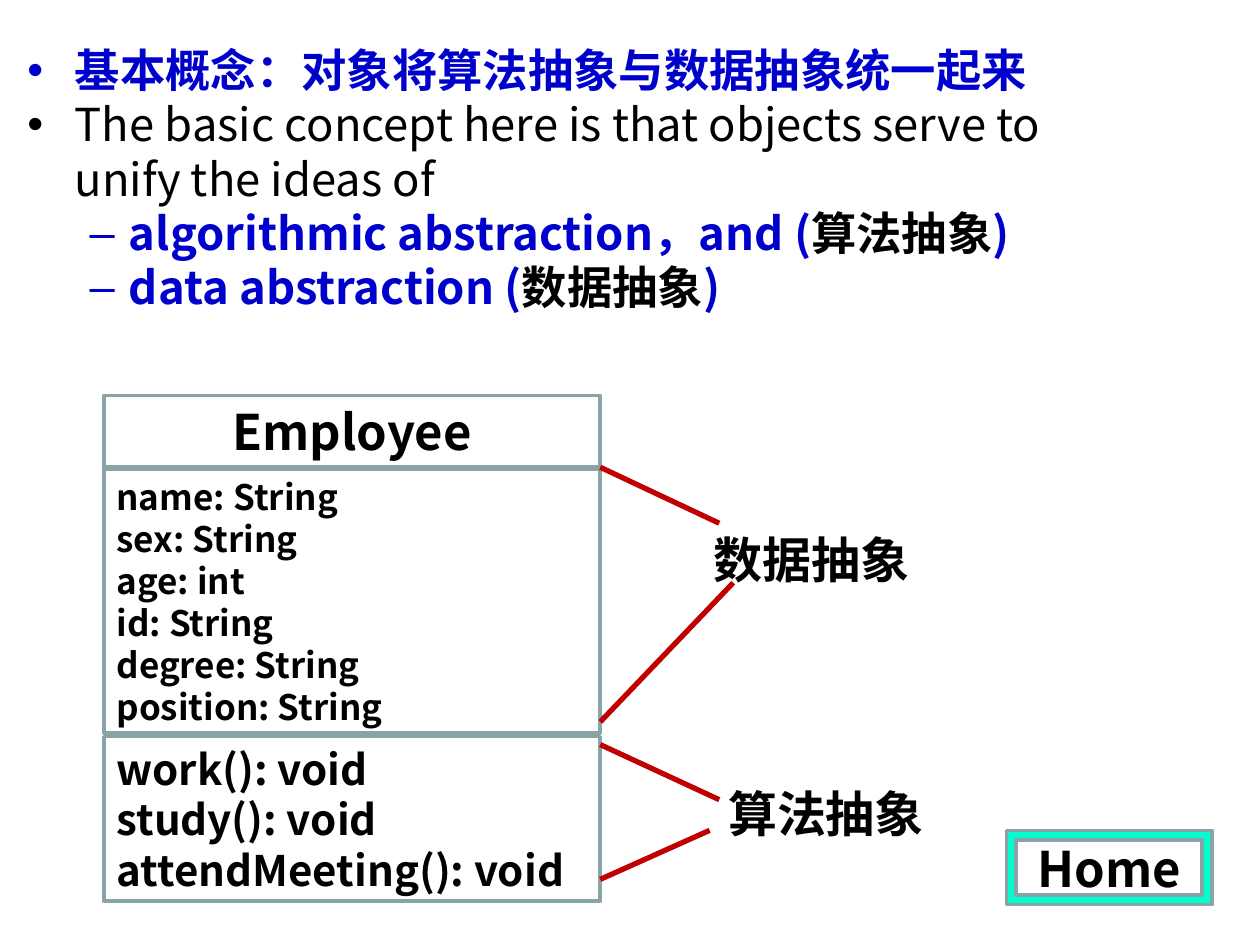
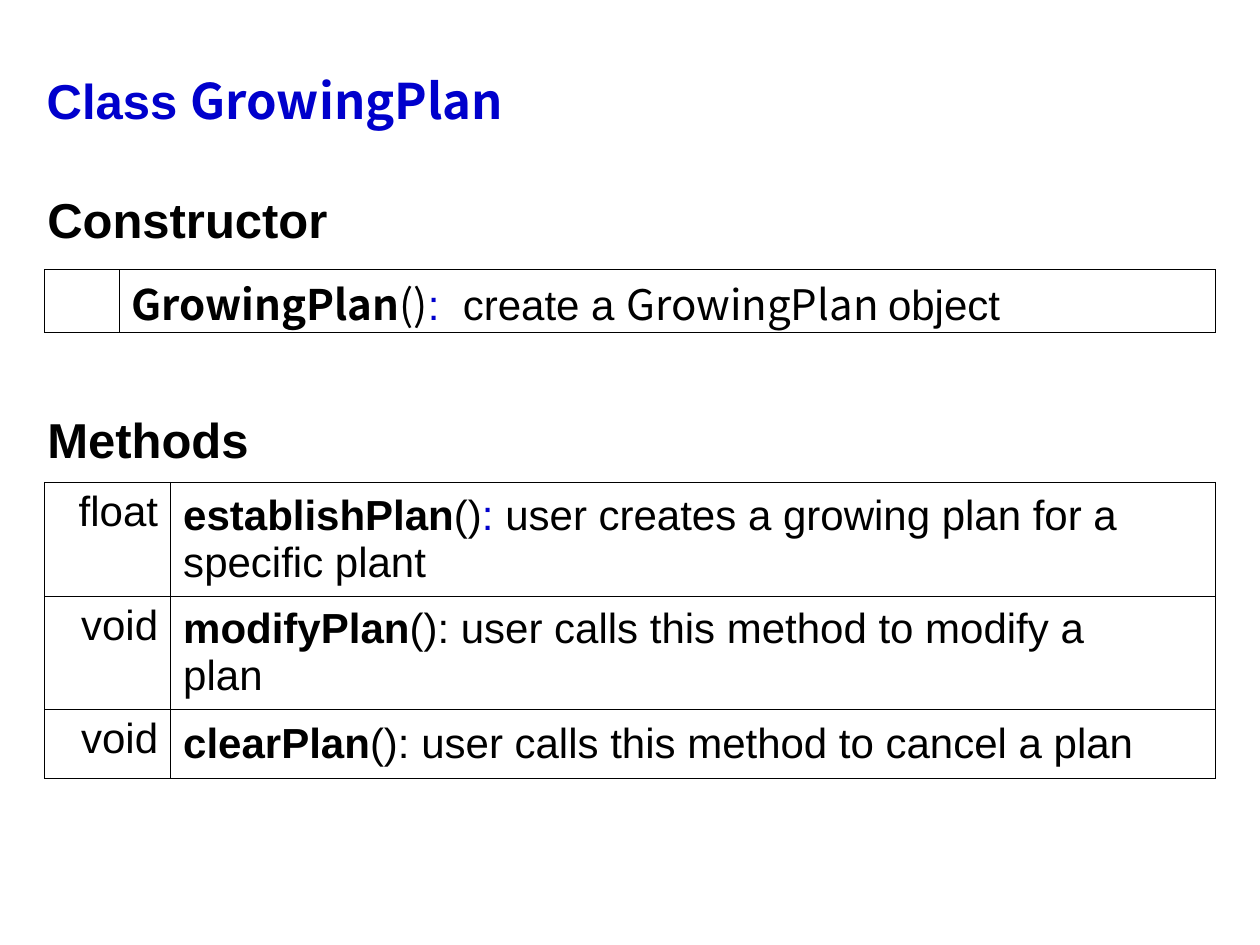
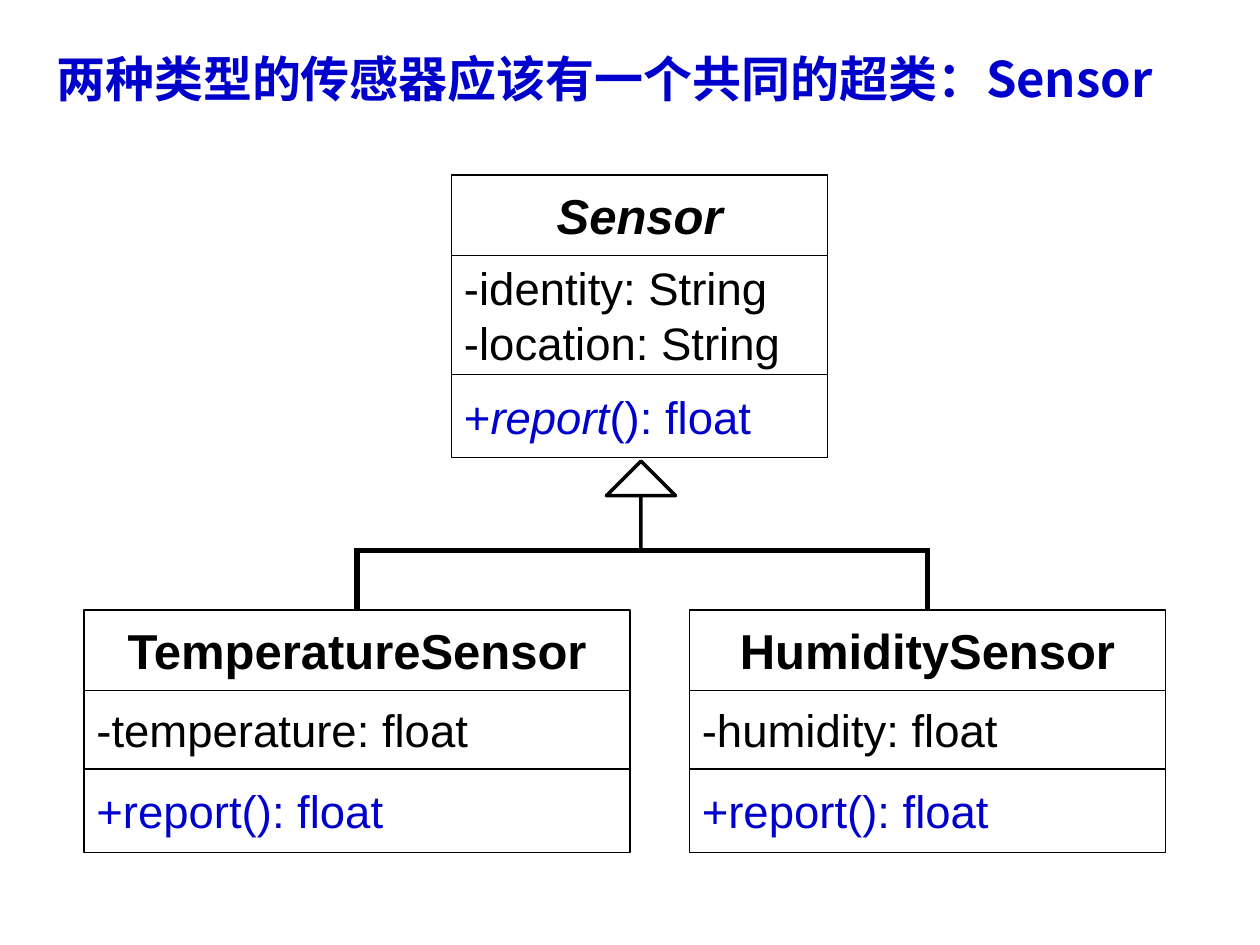
from lxml import etree
from pptx import Presentation
from pptx.dml.color import RGBColor
from pptx.enum import shapes, text
from pptx.oxml import ns
from pptx.util import Pt

COLORS = {"blue": "0000CC", "black": "000000", "white": "FFFFFF",
          "steel": "89A4A7", "red": "C00000", "mint": "00FFCC"}
ARIAL, NOTO = "Arial", "Noto Sans CJK SC"
LEADING = 1.2  # line pitch of class boxes and lists, in font sizes
BULLETS = [("•", 27, -27), ("–", 58, -22.5)]  # sign, margin, indent
LEFT, CENTER, RIGHT = text.PP_ALIGN.LEFT, text.PP_ALIGN.CENTER, text.PP_ALIGN.RIGHT
TOP, MIDDLE = text.MSO_ANCHOR.TOP, text.MSO_ANCHOR.MIDDLE


def color(name):
    return RGBColor.from_string(COLORS[name])


def add_xml(parent, tag, **attributes):
    return etree.SubElement(parent, ns.qn(tag), attributes)


# ---- Text ----
def format_run(run, size, font, ink, bold=False, italic=False):
    run.font.size = Pt(size)
    run.font.bold, run.font.italic = bold, italic
    run.font.color.rgb = color(ink)
    run.font.name = font
    add_xml(run.font._element, "a:ea", typeface=font)


def write(frame, paragraphs, size=28, font=NOTO, ink="black", bold=False,
          italic=False, align=LEFT, anchor=TOP, wrap=True, leading=None):
    """Each paragraph is a string or a list of (text, format changes) runs."""
    frame.word_wrap = wrap
    frame.vertical_anchor = anchor
    base = {"size": size, "font": font, "ink": ink, "bold": bold, "italic": italic}
    for number, runs in enumerate(paragraphs):
        paragraph = frame.add_paragraph() if number else frame.paragraphs[0]
        paragraph.alignment = align
        paragraph.space_before = Pt(0)
        if leading:
            paragraph.line_spacing = leading
        if isinstance(runs, str):
            runs = [(runs, {})]
        for words, changes in runs:
            run = paragraph.add_run()
            run.text = words
            format_run(run, **{**base, **changes})


def place(shape, left, top, width, height):
    shape.left, shape.top = Pt(left), Pt(top)
    shape.width, shape.height = Pt(width), Pt(height)


def add_title(slide, area, runs, **changes):
    title = slide.shapes.title
    place(title, *area)
    title.text_frame.auto_size = text.MSO_AUTO_SIZE.NONE
    write(title.text_frame, [runs], ink="blue", bold=True, **changes)


def add_label(slide, area, words, font=NOTO):
    label = slide.shapes.add_textbox(*map(Pt, area))
    write(label.text_frame, [words], font=font, bold=True)


def add_bullet_list(body, area, items, size):
    """Items are (level, bullet colour, runs)."""
    place(body, *area)
    frame = body.text_frame
    frame.auto_size = text.MSO_AUTO_SIZE.NONE
    write(frame, [runs for _, _, runs in items], size=size, ink="blue", bold=True,
          leading=Pt(size * LEADING))
    for paragraph, (level, ink, _) in zip(frame.paragraphs, items):
        sign, margin, indent = BULLETS[level]
        paragraph.level = level
        properties = paragraph._p.get_or_add_pPr()
        properties.set("marL", str(Pt(margin)))
        properties.set("indent", str(Pt(indent)))
        add_xml(add_xml(properties, "a:buClr"), "a:srgbClr", val=COLORS[ink])
        add_xml(properties, "a:buChar", char=sign)


# ---- Shapes and lines ----
def add_outlined(slide, kind, area, fill="white", line="black", weight=0.75):
    shape = slide.shapes.add_shape(kind, *map(Pt, area))
    shape.shadow.inherit = False
    shape.fill.solid()
    shape.fill.fore_color.rgb = color(fill)
    shape.line.color.rgb = color(line)
    shape.line.width = Pt(weight)
    return shape


def add_class(slide, left, width, sections, line="black", weight=0.75, **shared):
    """Draw a class as sections of (top, height, lines, format); return its name box."""
    boxes = []
    for top, height, lines, changes in sections:
        box = add_outlined(slide, shapes.MSO_SHAPE.RECTANGLE,
                           (left, top, width, height), line=line, weight=weight)
        style = {**shared, **changes}
        write(box.text_frame, lines, anchor=MIDDLE, wrap=False,
              leading=Pt(style["size"] * LEADING), **style)
        boxes.append(box)
    return boxes[0]


def add_line(slide, start, end, ink):
    line = slide.shapes.add_connector(shapes.MSO_CONNECTOR.STRAIGHT,
                                      *map(Pt, (*start, *end)))
    line.line.color.rgb = color(ink)
    line.line.width = Pt(3)
    add_xml(line._element.spPr, "a:effectLst")
    return line


# ---- Tables ----
def format_cell(cell):
    properties = cell._tc.get_or_add_tcPr()
    for side in ("a:lnL", "a:lnR", "a:lnT", "a:lnB"):
        border = add_xml(properties, side, w=str(Pt(0.34)))
        add_xml(add_xml(border, "a:solidFill"), "a:srgbClr", val=COLORS["black"])
    cell.fill.solid()
    cell.fill.fore_color.rgb = color("white")


def add_member_table(slide, left, top, columns, rows, members):
    """Members are (return type, description paragraphs)."""
    table = slide.shapes.add_table(len(rows), len(columns), Pt(left), Pt(top),
                                   Pt(sum(columns)), Pt(sum(rows))).table
    table.first_row = table.horz_banding = False
    for column, width in zip(table.columns, columns):
        column.width = Pt(width)
    for row, height, (kind, description) in zip(table.rows, rows, members):
        row.height = Pt(height)
        kind_cell, description_cell = row.cells
        for cell in row.cells:
            format_cell(cell)
        if kind:
            write(kind_cell.text_frame, [kind], size=24, font=ARIAL, align=RIGHT)
        write(description_cell.text_frame, description, size=24, font=ARIAL)
        description_cell.vertical_anchor = MIDDLE
    return table


# ---- Slides ----
def build_abstraction_slide(presentation):
    slide = presentation.slides.add_slide(presentation.slide_layouts[1])
    title = slide.shapes.title._element
    title.getparent().remove(title)
    black = {"ink": "black"}
    add_bullet_list(slide.placeholders[1], (8.5, 20.5, 648, 193), [
        (0, "blue", "基本概念：对象将算法抽象与数据抽象统一起来"),
        (0, "black", [("The basic concept here is that objects serve to unify the ideas of",
                       {"ink": "black", "bold": False})]),
        (1, "blue", [("algorithmic abstraction，and (", {}), ("算法抽象", black), (")", {})]),
        (1, "blue", [("data abstraction (", {}), ("数据抽象", black), (")", {})]),
    ], size=25.9)

    add_class(slide, 59.5, 283.5, [
        (226, 41, ["Employee"], {"size": 28, "align": CENTER}),
        (268, 151, ["name: String", "sex: String", "age: int", "id: String",
                    "degree: String", "position: String"], {"size": 20}),
        (421, 94, ["work(): void", "study(): void", "attendMeeting(): void"], {"size": 24}),
    ], line="steel", weight=2, bold=True)

    # Braces from the class sections to their labels
    add_label(slide, (400.5, 299, 140, 41), "数据抽象")
    add_label(slide, (409, 444, 140, 41), "算法抽象")
    for start, section_y in [((411, 299), 267), ((419, 333), 412.5),
                             ((411, 457), 425.5), ((405.5, 474.5), 502.5)]:
        add_line(slide, start, (343, section_y), "red")

    home = add_outlined(slide, shapes.MSO_SHAPE.FRAME, (575, 474.5, 117.5, 42.5),
                        fill="mint", line="steel", weight=2)
    home.adjustments[0] = 0.13
    write(home.text_frame, ["Home"], bold=True, align=CENTER, anchor=MIDDLE, wrap=False)


def build_plan_slide(presentation):
    slide = presentation.slides.add_slide(presentation.slide_layouts[5])
    add_title(slide, (19.5, 36.5, 397, 41),
              [("Class ", {"font": ARIAL}), ("GrowingPlan", {})])
    bold, blue, noto = {"bold": True}, {"ink": "blue"}, {"font": NOTO}

    add_label(slide, (20, 104.5, 200, 41), "Constructor", font=ARIAL)
    constructor = add_member_table(slide, 25.5, 154, [42.5, 626.5], [36], [
        ("", [[("GrowingPlan", {**noto, **bold}), ("()", noto), (":", blue),
               ("  create a ", {}), ("GrowingPlan ", noto), ("object", {})]]),
    ])
    signature = constructor.cell(0, 1)
    signature.margin_top, signature.margin_bottom = Pt(7.2), Pt(0)
    signature.text_frame.paragraphs[0].line_spacing = Pt(24 * LEADING)

    add_label(slide, (20, 230.5, 200, 41), "Methods", font=ARIAL)
    add_member_table(slide, 25.5, 275.5, [72, 597], [65, 65, 39.5], [
        ("float", [[("establishPlan", bold), ("()", {}), (":", blue),
                    (" user creates a growing plan for a", {})], "specific plant"]),
        ("void", [[("modifyPlan", bold),
                   ("(): user calls this method to modify a", {})], "plan"]),
        ("void", [[("clearPlan", bold),
                   ("(): user calls this method to cancel a plan", {})]]),
    ])


def build_sensor_slide(presentation):
    slide = presentation.slides.add_slide(presentation.slide_layouts[5])
    add_title(slide, (25, 20.5, 658, 44.5),
              "两种类型的传感器应该有一个共同的超类：Sensor", leading=1.1)

    def add_sensor(left, top, width, name, attributes, attributes_height,
                   report, italic=False):
        attributes_top = top + 46
        return add_class(slide, left, width, [
            (top, 46, [name], {"size": 28, "bold": True, "italic": italic, "align": CENTER}),
            (attributes_top, attributes_height, attributes, {"size": 26}),
            (attributes_top + attributes_height, 47.5, [report], {"size": 26, "ink": "blue"}),
        ], font=ARIAL)

    subclasses = [
        add_sensor(48, 348.5, 312, "TemperatureSensor", ["-temperature: float"], 45,
                   "+report(): float"),
        add_sensor(394, 348.5, 272, "HumiditySensor", ["-humidity: float"], 45,
                   "+report(): float"),
    ]
    add_sensor(258, 100, 215, "Sensor", ["-identity: String", "-location: String"], 68,
               [("+", {}), ("report", {"italic": True}), ("(): float", {})], italic=True)

    # Inheritance tree
    bus_y = 314.5
    centers = [(box.left + box.width / 2) / Pt(1) for box in subclasses]
    add_line(slide, (centers[0], bus_y), (centers[1], bus_y), "black")
    for box, center in zip(subclasses, centers):
        branch = add_line(slide, (center, bus_y - 1.5), (center, 348.5), "black")
        branch.end_connect(box, 0)
    arrow = add_outlined(slide, shapes.MSO_SHAPE.UP_ARROW, (346.5, 263.5, 39.5, 51), weight=2)
    arrow.adjustments[0], arrow.adjustments[1] = 0, 0.5


def main():
    presentation = Presentation()
    presentation.slide_width, presentation.slide_height = Pt(720), Pt(540)
    build_abstraction_slide(presentation)
    build_plan_slide(presentation)
    build_sensor_slide(presentation)
    presentation.save("out.pptx")


if __name__ == "__main__":
    main()
